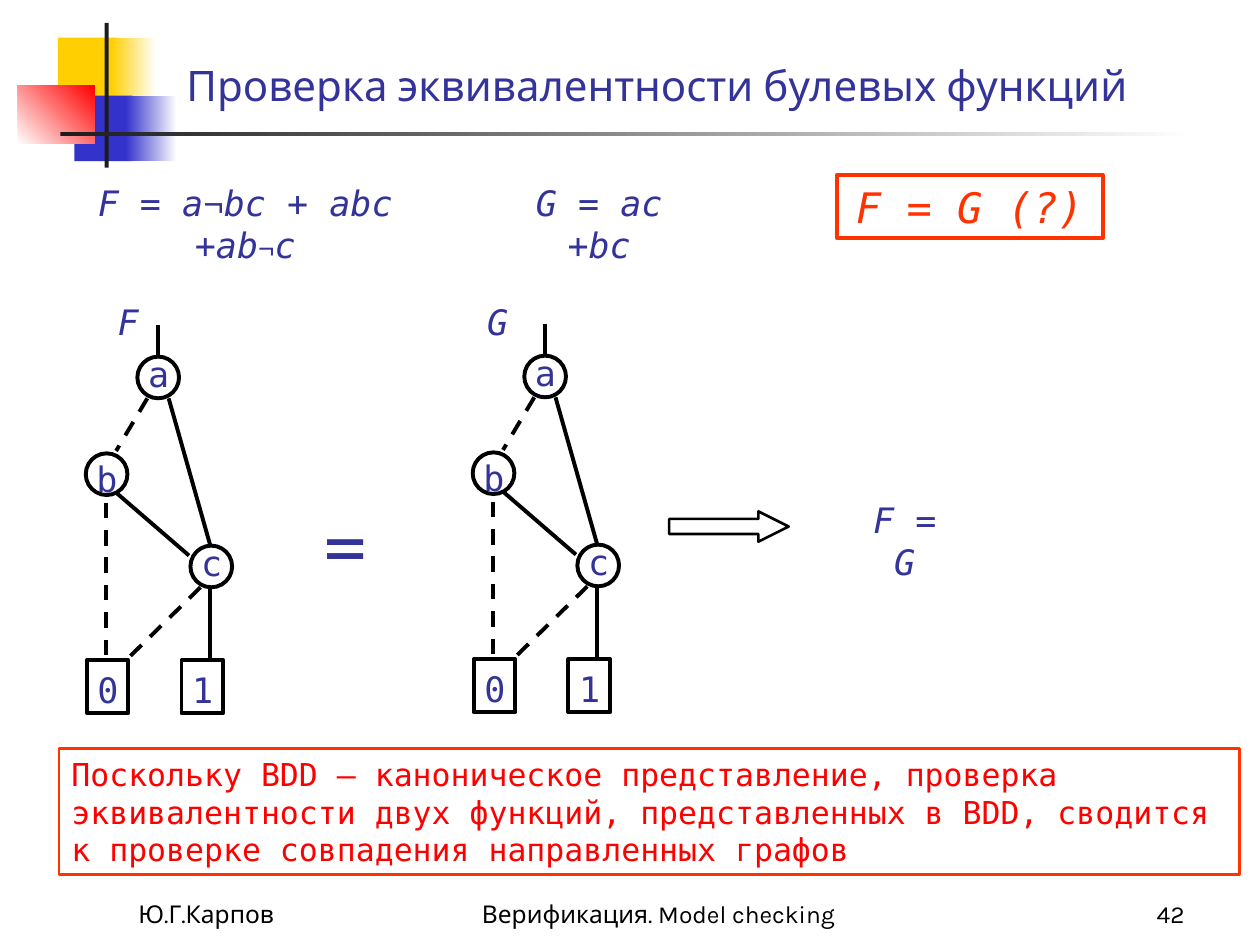
from lxml import etree
from pptx import Presentation
from pptx.dml.color import RGBColor
from pptx.enum.dml import MSO_LINE
from pptx.enum.shapes import MSO_CONNECTOR, MSO_SHAPE as Preset
from pptx.enum.text import MSO_ANCHOR as Anchor, PP_ALIGN as Align
from pptx.oxml.ns import qn
from pptx.util import Cm, Pt

BLACK = RGBColor(0x00, 0x00, 0x00)
WHITE = RGBColor(0xFF, 0xFF, 0xFF)
CHARCOAL = RGBColor(0x1C, 0x1C, 0x1C)
YELLOW = RGBColor(0xFF, 0xCF, 0x01)
BLUE = RGBColor(0x33, 0x33, 0xCC)
INDIGO = RGBColor(0x33, 0x33, 0x99)
RED = RGBColor(0xFF, 0x00, 0x00)
ORANGE = RGBColor(0xFF, 0x33, 0x00)

MONO = {"name": "DejaVu Sans Mono", "size": Pt(20), "italic": False}
FORMULA = MONO | {"italic": True}
NEGATION = FORMULA | {"name": "Arial"}
SMALL_NEGATION = NEGATION | {"size": Pt(16)}
TITLE = {"name": "Karla", "size": Pt(24)}
FOOTER = {"name": "Karla", "size": Pt(14)}


class SlideBuilder:
    """Style and current slide; all positions are in centimetres."""

    line_width = 2.25

    def __init__(self, slide):
        self.slide = slide
        self.shapes = slide.shapes

    def fill_text(self, shape, runs, color=INDIGO, align=Align.CENTER,
                  anchor=Anchor.TOP, wrap=True):
        frame = shape.text_frame
        frame.word_wrap = wrap
        frame.vertical_anchor = anchor
        paragraph = frame.paragraphs[0]
        paragraph.alignment = align
        for text, formats in runs:
            run = paragraph.add_run()
            run.text = text
            for attribute, value in formats.items():
                setattr(run.font, attribute, value)
            run.font.color.rgb = color

    def text(self, box, runs, **options):
        shape = self.shapes.add_textbox(*map(Cm, box))
        self.fill_text(shape, runs, **options)

    def outline(self, preset, box, color=BLACK, width=line_width):
        shape = self.shapes.add_shape(preset, *map(Cm, box))
        shape.shadow.inherit = False
        shape.fill.background()
        shape.line.color.rgb = color
        shape.line.width = Pt(width)
        return shape

    def block(self, box, colors, angle=0):
        shape = self.shapes.add_shape(Preset.RECTANGLE, *map(Cm, box))
        shape.shadow.inherit = False
        shape.line.fill.background()
        if len(colors) == 1:
            shape.fill.solid()
            shape.fill.fore_color.rgb = colors[0]
            return
        shape.fill.gradient()
        shape.fill.gradient_angle = angle
        for stop, color in zip(shape.fill.gradient_stops, colors):
            stop.color.rgb = color

    def edge(self, start, end, dashed=False):
        connector = self.shapes.add_connector(
            MSO_CONNECTOR.STRAIGHT, *map(Cm, start + end))
        connector.line.color.rgb = BLACK
        connector.line.width = Pt(self.line_width)
        if dashed:
            connector.line.dash_style = MSO_LINE.DASH
        properties = connector.element.find(qn("p:spPr"))
        etree.SubElement(properties, qn("a:effectLst"))

    def node(self, preset, box, label, label_shift):
        self.outline(preset, box)
        left, top, width, _ = box
        label_box = (left + (width - 0.91) / 2, top + label_shift, 0.91, 1.12)
        self.text(label_box, [(label, MONO)], wrap=False)

    def diagram(self, name, name_left, dx, dy):
        """Binary decision diagram, shifted by dx and dy."""
        self.shapes = self.slide.shapes.add_group_shape().shapes
        for preset, left, top, height, label, label_shift in NODES:
            self.node(preset, (left + dx, top + dy, 0.84, height),
                      label, label_shift)
        for x1, y1, x2, y2, dashed in EDGES:
            self.edge((x1 + dx, y1 + dy), (x2 + dx, y2 + dy), dashed)
        self.text((name_left, 5.94, 0.91, 1.12), [(name, FORMULA)], wrap=False)
        self.shapes = self.slide.shapes


# Ornament: box, colours, gradient angle
ORNAMENT = [
    ((1.17, 0.76, 1.22, 1.32), [YELLOW], 0),
    ((2.24, 0.76, 0.91, 1.32), [YELLOW, WHITE], 0),
    ((1.5, 1.93, 1.17, 1.32), [BLUE], 0),
    ((2.54, 1.93, 1.02, 1.32), [BLUE, WHITE], 0),
    ((0.36, 1.73, 1.55, 1.17), [WHITE, RED], 45),
    ((2.11, 0.46, 0.08, 2.92), [CHARCOAL], 0),
    ((1.22, 2.67, 22.86, 0.08), [CHARCOAL, WHITE], 0),
]

# Diagram nodes: preset, left, top, height, label, label shift
NODES = [
    (Preset.RECTANGLE, 3.66, 13.31, 1.07, "1", 0.05),
    (Preset.RECTANGLE, 1.75, 13.31, 1.07, "0", 0.05),
    (Preset.OVAL, 2.77, 7.19, 0.84, "a", -0.2),
    (Preset.OVAL, 1.73, 9.14, 0.84, "b", -0.05),
    (Preset.OVAL, 3.84, 11, 0.84, "c", -0.2),
]

# Diagram edges: start, end, dashed
EDGES = [
    (2.13, 10.13, 2.13, 13.31, True),
    (2.34, 9.93, 3.81, 11.2, False),
    (4.04, 11.84, 2.54, 13.31, True),
    (3.18, 7.19, 3.18, 6.55, False),
    (4.24, 11.84, 4.24, 13.31, False),
    (3.4, 8.03, 4.24, 11, False),
    (2.97, 8.03, 2.34, 9.09, True),
]

FOOTERS = [
    (2.54, 5.28, "Ю.Г.Карпов", Align.LEFT),
    (9.25, 8.05, "Верификация. Model checking", Align.CENTER),
    (18.85, 5.28, "42", Align.RIGHT),
]

CONCLUSION = ("Поскольку BDD – каноническое представление, проверка "
              "эквивалентности двух функций, представленных в BDD, "
              "сводится к проверке совпадения направленных графов")


def main():
    presentation = Presentation()
    presentation.slide_width = Cm(25.4)
    presentation.slide_height = Cm(19.05)
    slide = presentation.slides.add_slide(presentation.slide_layouts[6])
    builder = SlideBuilder(slide)

    # Ornament, footer and title
    for box, colors, angle in ORNAMENT:
        builder.block(box, colors, angle)
    for left, width, text, align in FOOTERS:
        builder.text((left, 17.58, width, 1.27), [(text, FOOTER)],
                     color=BLACK, align=align, anchor=Anchor.BOTTOM)
    builder.text((3.51, 0.64, 20.19, 1.7),
                 [("Проверка эквивалентности булевых функций", TITLE)],
                 align=Align.LEFT, anchor=Anchor.BOTTOM)

    # Formulas and the question
    builder.text((10.19, 3.53, 3.78, 1.12), [("G = ac +bc", FORMULA)])
    builder.text((1.35, 3.53, 7.19, 1.12), [
        ("F = a", FORMULA), ("¬", NEGATION), ("bc + abc +ab", FORMULA),
        ("¬", SMALL_NEGATION), ("c", FORMULA)])
    question = builder.outline(
        Preset.RECTANGLE, (16.87, 3.53, 5.36, 1.27), ORANGE)
    builder.fill_text(question, [("F = G (?)", FORMULA | {"size": Pt(24)})],
                      color=ORANGE)

    # Two equal diagrams and what follows from them
    builder.diagram("F", 2.12, 0, 0)
    builder.diagram("G", 9.57, 7.8, -0.02)
    builder.text((6.3, 9.98, 1.3, 1.96), [("=", MONO | {"size": Pt(40)})],
                 wrap=False)
    arrow = builder.outline(
        Preset.RIGHT_ARROW, (13.49, 10.31, 2.41, 0.61), width=1.5)
    arrow.adjustments[0] = 0.5
    arrow.adjustments[1] = 1
    builder.text((17.2, 9.93, 2.08, 1.12), [("F = G", FORMULA)])

    # Conclusion
    conclusion = builder.outline(
        Preset.RECTANGLE, (1.19, 15.09, 23.8, 2.54), ORANGE, 1.5)
    builder.fill_text(conclusion, [(CONCLUSION, MONO | {"size": Pt(18)})],
                      color=RED, align=Align.LEFT)

    presentation.save("out.pptx")


if __name__ == "__main__":
    main()
